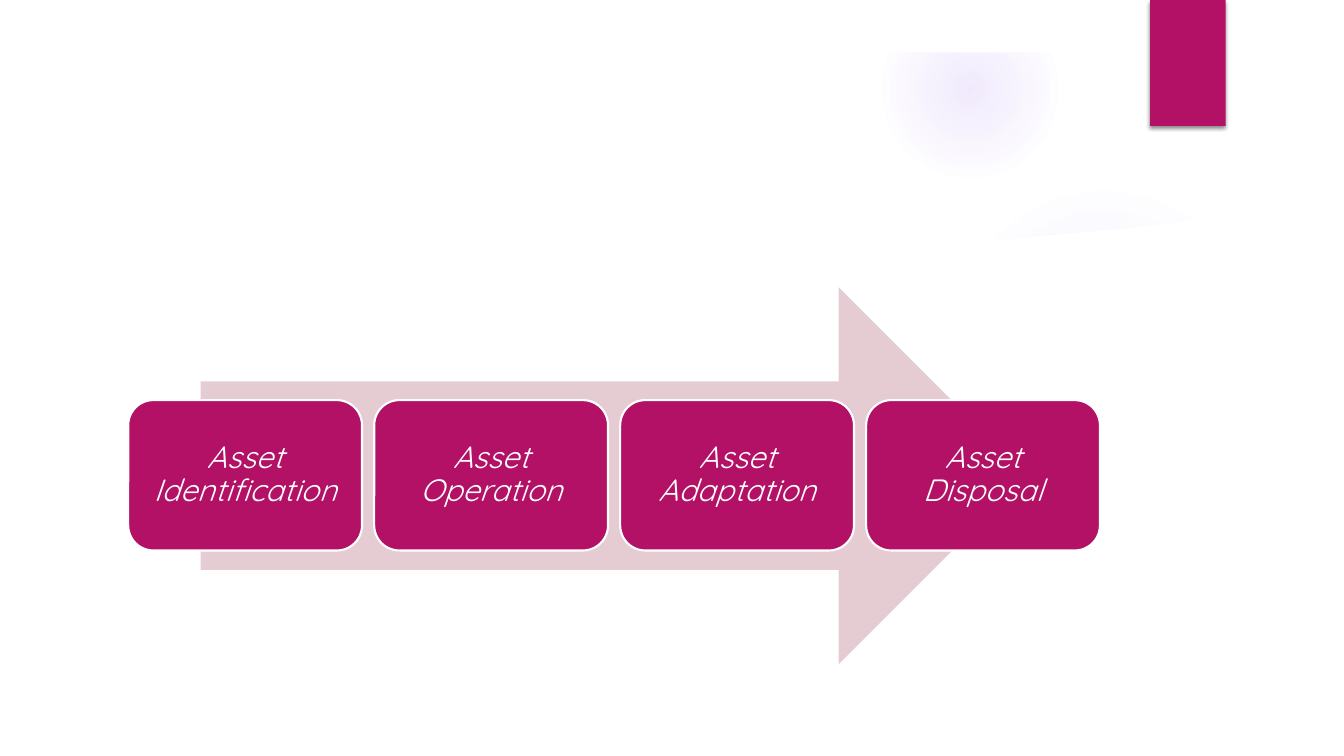
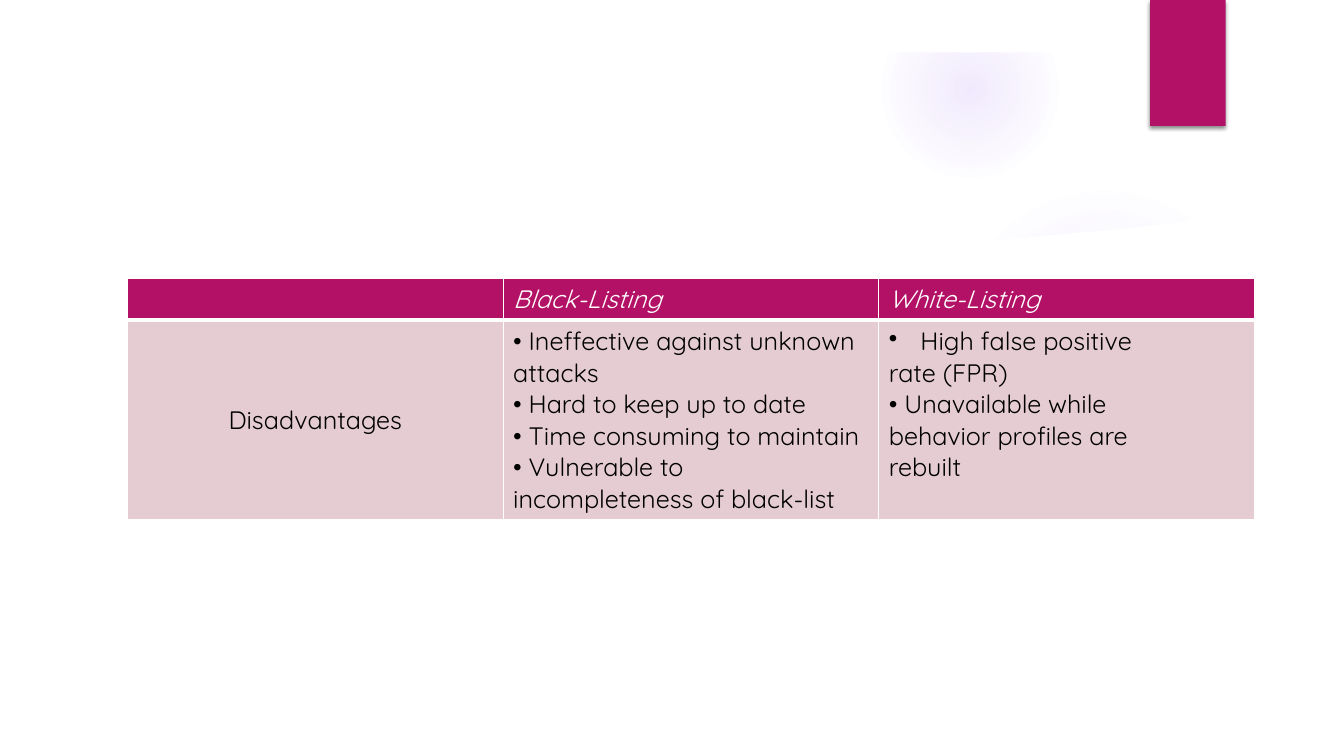
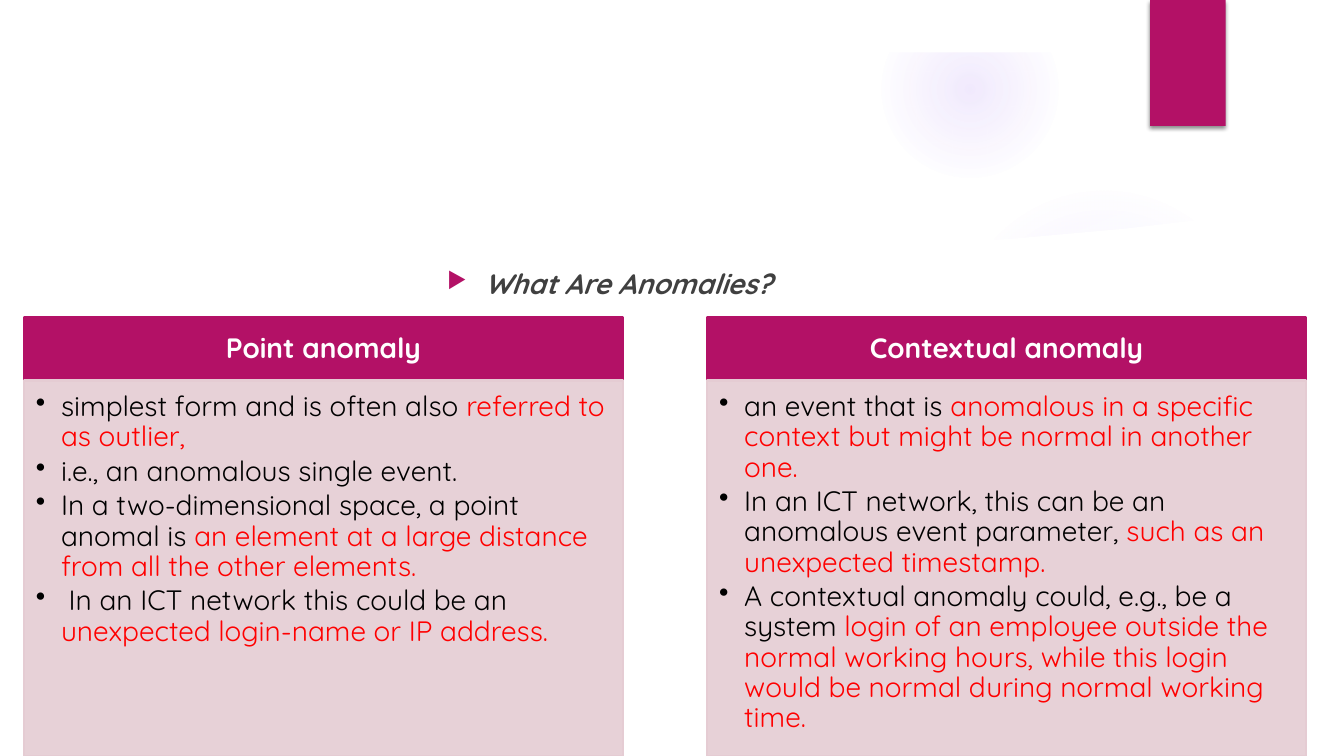
"""Build three slides on asset management, listing methods and anomalies."""
from dataclasses import dataclass

from lxml import etree
from pptx import Presentation
from pptx import util as u
from pptx.dml.color import RGBColor
from pptx.enum import shapes, text
from pptx.oxml import ns

SHAPE = shapes.MSO_SHAPE
MIDDLE = text.MSO_ANCHOR.MIDDLE
CENTER = text.PP_ALIGN.CENTER


@dataclass(frozen=True)
class Theme:
    """Colours, font and type sizes of the deck."""
    accent: str = "B31166"
    tint: str = "E5CCD3"
    glow: str = "9B6BF2"
    white: str = "FFFFFF"
    black: str = "000000"
    grey: str = "404040"
    red: str = "FF0000"
    font: str = "Quicksand"
    step_size: int = 22
    body_size: int = 20
    table_size: int = 18


THEME = Theme()


def add_child(parent, tag, **attributes):
    """Append a DrawingML element and return it."""
    values = {name: str(value) for name, value in attributes.items()}
    return etree.SubElement(parent, ns.qn("a:" + tag), values)


def add_color(parent, color, opacity=100):
    """Append an RGB colour with an opacity in percent."""
    element = add_child(parent, "srgbClr", val=color)
    if opacity < 100:
        add_child(element, "alpha", val=opacity * 1000)


def add_bullet(paragraph, bullet, indent, color=None, percent=None):
    """Give a paragraph a hanging bullet."""
    properties = paragraph._p.get_or_add_pPr()
    properties.set("marL", str(u.Pt(indent)))
    properties.set("indent", str(-u.Pt(indent)))
    if color:
        add_color(add_child(properties, "buClr"), color)
    if percent:
        add_child(properties, "buSzPct", val=percent * 1000)
    add_child(properties, "buChar", char=bullet)


def write_text(frame, paragraphs, size, color=THEME.black, bold=False, italic=False,
               align=None, anchor=None, insets=None, line_spacing=None,
               space_after=None, bullet=None):
    """Fill a frame with paragraphs given as strings or lists of (text, color) runs."""
    frame.word_wrap = True
    if anchor is not None:
        frame.vertical_anchor = anchor
    if insets:
        (frame.margin_left, frame.margin_top,
         frame.margin_right, frame.margin_bottom) = map(u.Pt, insets)
    for index, content in enumerate(paragraphs):
        paragraph = frame.add_paragraph() if index else frame.paragraphs[0]
        if bullet:
            add_bullet(paragraph, **bullet)
        paragraph.alignment = align
        paragraph.line_spacing = line_spacing
        if space_after is not None:
            paragraph.space_after = u.Pt(space_after)
        runs = [(content, color)] if isinstance(content, str) else content
        for run_text, run_color in runs:
            run = paragraph.add_run()
            run.text = run_text
            run.font.name = THEME.font
            run.font.size = u.Pt(size)
            run.font.bold = bold
            run.font.italic = italic
            run.font.color.rgb = RGBColor.from_string(run_color)


class Deck:
    """A presentation with its style and current slide."""

    def __init__(self, theme):
        """Start an empty widescreen presentation."""
        self.theme = theme
        self.presentation = Presentation()
        self.presentation.slide_width = u.Pt(960)
        self.presentation.slide_height = u.Pt(540)
        self.slide = None

    def new_slide(self):
        """Add a slide with the shared backdrop and corner tab."""
        self.slide = self.presentation.slides.add_slide(
            self.presentation.slide_layouts[6])
        self.glow(677.5, 131.8, 221.8, [(0, 7), (36, 6), (69, 0)])
        self.glow(630, 0.7, 126, [(0, 14), (36, 7), (73, 0)])
        strip = [(672.5, 180), (785, 174), (928, 154), (923.8, 119.5),
                 (840, 144), (758, 162), (669.6, 175)]
        self.outline([strip], opacity=20).rotation = 350.2
        self.outline([[(36, 147), (36, 504), (924, 504), (924, 147), (864, 156.2),
                       (803.5, 163.4), (722.9, 170.6), (643.7, 175), (510, 178.5),
                       (368, 176.4), (226, 167.8), (115, 157)]])
        self.outline([[(0, 0), (0, 540), (960, 540), (960, 0)],
                      [(922.5, 502.5), (37.5, 502.5), (37.5, 37.5), (922.5, 37.5)]])
        self.tab()

    def paint(self, shape, fill, line=None, opacity=100):
        """Set fill, line and opacity, and drop the shadow."""
        shape.shadow.inherit = False
        shape.fill.solid()
        shape.fill.fore_color.rgb = RGBColor.from_string(fill)
        if opacity < 100:
            color = shape._element.spPr.find(
                ns.qn("a:solidFill")).find(ns.qn("a:srgbClr"))
            add_child(color, "alpha", val=opacity * 1000)
        if line:
            shape.line.color.rgb = RGBColor.from_string(line)
            shape.line.width = u.Pt(1.5)
        else:
            shape.line.fill.background()
        return shape

    def box(self, kind, left, top, width, height, fill, line=None, opacity=100):
        """Draw a preset shape."""
        shape = self.slide.shapes.add_shape(
            kind, u.Pt(left), u.Pt(top), u.Pt(width), u.Pt(height))
        return self.paint(shape, fill, line, opacity)

    def outline(self, contours, opacity=100):
        """Draw a white outline from closed contours."""
        points = [[(u.Pt(x), u.Pt(y)) for x, y in contour] for contour in contours]
        builder = self.slide.shapes.build_freeform(*points[0][0])
        for index, contour in enumerate(points):
            if index:
                builder.move_to(*contour[0])
            builder.add_line_segments(contour[1:], close=True)
        return self.paint(builder.convert_to_shape(), self.theme.white, opacity=opacity)

    def glow(self, left, top, diameter, stops):
        """Draw a soft circle that fades outwards."""
        shape = self.box(SHAPE.OVAL, left, top, diameter, diameter, self.theme.glow)
        solid = shape._element.spPr.find(ns.qn("a:solidFill"))
        gradient = etree.Element(ns.qn("a:gradFill"), rotWithShape="1")
        stop_list = add_child(gradient, "gsLst")
        for position, opacity in stops:
            stop = add_child(stop_list, "gs", pos=position * 1000)
            add_color(stop, self.theme.glow, opacity)
        direction = add_child(gradient, "path", path="circle")
        add_child(direction, "fillToRect", l=50000, t=50000, r=50000, b=50000)
        solid.getparent().replace(solid, gradient)

    def tab(self):
        """Draw the corner tab with its shadow."""
        shape = self.box(SHAPE.RECTANGLE, 821.5, 0, 54, 90, self.theme.accent)
        effects = shape._element.spPr.find(ns.qn("a:effectLst"))
        shadow = add_child(effects, "outerShdw", blurRad=u.Pt(3), dist=u.Pt(2),
                           dir=5400000, rotWithShape=0)
        add_color(shadow, self.theme.black, 45)

    def steps(self, labels):
        """Draw labelled steps along a wide arrow."""
        theme = self.theme
        self.box(SHAPE.RIGHT_ARROW, 143.3, 205.2, 590.4, 269.3, theme.tint)
        for index, label in enumerate(labels):
            shape = self.box(SHAPE.ROUNDED_RECTANGLE, 91.6 + index * 175.7, 285.8,
                             167, 107.4, theme.accent, theme.white)
            write_text(shape.text_frame, [label], theme.step_size, theme.white,
                       italic=True, align=CENTER, anchor=MIDDLE,
                       insets=[6.5] * 4, line_spacing=0.9)

    def heading(self, label):
        """Write a centred heading with an arrow bullet."""
        theme = self.theme
        shape = self.slide.shapes.add_textbox(u.Pt(0), u.Pt(186.5), u.Pt(871), u.Pt(36))
        write_text(shape.text_frame, [label], theme.body_size, theme.grey,
                   bold=True, italic=True, align=CENTER,
                   bullet=dict(bullet="▶", indent=27, color=theme.accent, percent=80))

    def panel(self, left, label, items):
        """Draw a header bar over a bulleted panel."""
        theme = self.theme
        header = self.box(SHAPE.RECTANGLE, left, 226.8, 428, 45,
                          theme.accent, theme.accent)
        write_text(header.text_frame, [label], theme.body_size, theme.white, bold=True,
                   align=CENTER, anchor=MIDDLE, insets=(11.5, 6.5, 11.5, 6.5),
                   line_spacing=0.9)
        body = self.box(SHAPE.RECTANGLE, left, 271.8, 428, 268.2,
                        theme.tint, theme.tint, opacity=90)
        write_text(body.text_frame, items, theme.body_size,
                   align=text.PP_ALIGN.LEFT, anchor=text.MSO_ANCHOR.TOP,
                   insets=(8.6, 8.6, 11.5, 12), line_spacing=0.9, space_after=3,
                   bullet=dict(bullet="•", indent=18))

    def border(self, cell, bottom):
        """Draw white borders round a cell."""
        properties = cell._tc.get_or_add_tcPr()
        for side, width in (("lnL", 1), ("lnR", 1), ("lnT", 1), ("lnB", bottom)):
            line = add_child(properties, side, w=u.Pt(width))
            add_color(add_child(line, "solidFill"), self.theme.white)

    def table(self, rows, heights):
        """Draw a table with a header row and a centred first column."""
        theme = self.theme
        table = self.slide.shapes.add_table(
            len(rows), len(rows[0]), u.Pt(91), u.Pt(199), u.Pt(805.2),
            u.Pt(sum(heights))).table
        table.horz_banding = False
        for row, height in zip(table.rows, heights):
            row.height = u.Pt(height)
        for row_index, row in enumerate(rows):
            is_header = row_index == 0
            for column_index, paragraphs in enumerate(row):
                cell = table.cell(row_index, column_index)
                is_label = column_index == 0
                self.border(cell, 3 if is_header else 1)
                cell.fill.solid()
                cell.fill.fore_color.rgb = RGBColor.from_string(
                    theme.accent if is_header else theme.tint)
                if is_label:
                    cell.vertical_anchor = MIDDLE
                write_text(cell.text_frame, paragraphs, theme.table_size,
                           theme.white if is_header else theme.black,
                           italic=is_header, align=CENTER if is_label else None)
        return table


def main():
    """Build and save the deck."""
    deck = Deck(THEME)
    black, red = THEME.black, THEME.red

    deck.new_slide()
    deck.steps(["Asset Identification", "Asset Operation",
                "Asset Adaptation", "Asset Disposal"])

    deck.new_slide()
    table = deck.table([
        [[], ["Black-Listing"], ["White-Listing"]],
        [["Disadvantages"],
         ["• Ineffective against unknown attacks", "• Hard to keep up to date",
          "• Time consuming to maintain", "• Vulnerable to",
          "incompleteness of black-list"],
         ["High false positive", "rate (FPR)", "• Unavailable while",
          "behavior profiles are", "rebuilt"]],
    ], heights=[29.5, 142])
    add_bullet(table.cell(1, 2).text_frame.paragraphs[0], "•", 22.5)

    deck.new_slide()
    deck.heading("What Are Anomalies?")
    deck.panel(17, "Point anomaly", [
        [("simplest form and is often also ", black), ("referred to as outlier,", red)],
        "i.e., an anomalous single event.",
        [("In a two-dimensional space, a point anomal is ", black),
         ("an element at a large distance from all the other elements.", red)],
        [(" In an ICT network this could be an ", black),
         ("unexpected login-name or IP address.", red)],
    ])
    deck.panel(505, "Contextual anomaly", [
        [("an event that is ", black),
         ("anomalous in a specific context but might be normal in another one.", red)],
        [("In an ICT network, this can be an anomalous event parameter, ", black),
         ("such as an unexpected timestamp.", red)],
        [("A contextual anomaly could, e.g., be a system ", black),
         ("login of an employee outside the normal working hours, while this login "
          "would be normal during normal working time.", red)],
    ])
    deck.presentation.save("out.pptx")


if __name__ == "__main__":
    main()
